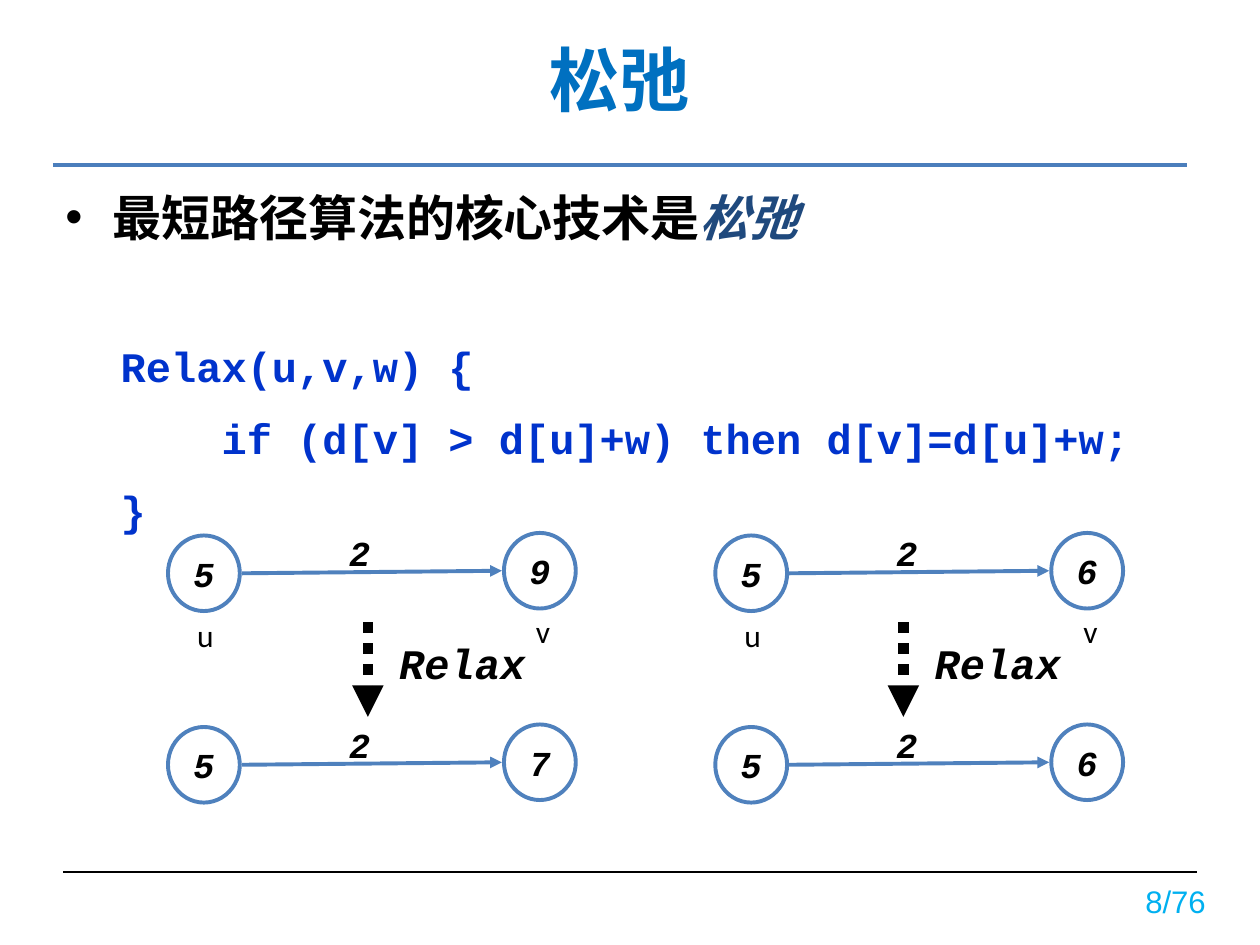
from lxml import etree
from pptx import Presentation
from pptx.dml.color import RGBColor
from pptx.enum.dml import MSO_LINE
from pptx.enum.shapes import MSO_CONNECTOR, MSO_SHAPE
from pptx.enum.text import MSO_ANCHOR, PP_ALIGN
from pptx.oxml.ns import qn
from pptx.util import Pt

STRAIGHT, OVAL = MSO_CONNECTOR.STRAIGHT, MSO_SHAPE.OVAL
DOTTED = MSO_LINE.ROUND_DOT
TOP, MIDDLE = MSO_ANCHOR.TOP, MSO_ANCHOR.MIDDLE
LEFT, CENTER = PP_ALIGN.LEFT, PP_ALIGN.CENTER
BLACK = RGBColor(0, 0, 0)
WHITE = RGBColor(0xFF, 0xFF, 0xFF)
TITLE_BLUE = RGBColor(0x00, 0x70, 0xC0)
NAVY = RGBColor(0x1F, 0x49, 0x7D)
CODE_BLUE = RGBColor(0x00, 0x33, 0xCC)
RULE_BLUE = RGBColor(0x4B, 0x7E, 0xBC)
NODE_BLUE = RGBColor(0x4F, 0x81, 0xBD)
PAGE_BLUE = RGBColor(0x00, 0xB0, 0xF0)
CJK, MONO = "Noto Sans CJK SC", "Courier New"

TITLE = "松弛"
PAGE = "8/76"
POINT = [("最短路径算法的核心技术是", BLACK, False), ("松弛", NAVY, True)]
CODE = [("Relax(u,v,w) {", 0), ("if (d[v] > d[u]+w) then d[v]=d[u]+w;", 4), ("}", 0)]
WEIGHT = "2"
EXAMPLES = [
    {"left": 96, "arrow": 210.24, "rows": [("5", "9"), ("5", "7")]},
    {"left": 408.75, "arrow": 516.24, "rows": [("5", "6"), ("5", "6")]},
]
RULES = [(30.24, 94.32, RULE_BLUE, 2.75), (36, 498.24, BLACK, 0.75)]
RULE_WIDTH = 648
ROW_TOP, ROW_STEP = 304.56, 109.44
NODE_WIDTH, NODE_HEIGHT, NODE_GAP, NODE_DROP = 41.04, 43.2, 192, 1.44
EDGE_GAP = 1.2
CODE_CHAR = 14.4

TITLE_FONT = {"name": CJK, "size": Pt(40), "bold": True}
POINT_FONT = {"name": CJK, "size": Pt(28), "bold": True}
CODE_FONT = {"name": MONO, "size": Pt(24), "bold": True}
NODE_FONT = {"name": MONO, "size": Pt(20), "bold": True, "italic": True}
RELAX_FONT = {**NODE_FONT, "size": Pt(24)}
LABEL_FONT = {"name": "Calibri", "size": Pt(18)}
PAGE_FONT = {"name": "Arial", "size": Pt(17.8)}


def assign(target, values):
    for name, value in values.items():
        setattr(target, name, value)


def add_span(para, text, font, color=BLACK):
    span = para.add_run()
    span.text = text
    assign(span.font, font)
    span.font.color.rgb = color
    if font["name"] == CJK:
        etree.SubElement(span.font._element, qn("a:ea"), typeface=CJK)


def fill_frame(shape, text, font, color=BLACK, align=CENTER, anchor=MIDDLE):
    para = shape.text_frame.paragraphs[0]
    para.alignment = align
    shape.text_frame.vertical_anchor = anchor
    add_span(para, text, font, color)


def add_label(page, left, top, width, height, text, font, **style):
    box = page.shapes.add_textbox(Pt(left), Pt(top), Pt(width), Pt(height))
    box.text_frame.word_wrap = False
    fill_frame(box, text, font, **style)


def add_line(page, start, end, color, width, arrow=False):
    line = page.shapes.add_connector(STRAIGHT, *[Pt(v) for v in (*start, *end)])
    line.line.color.rgb = color
    line.line.width = Pt(width)
    if arrow:
        etree.SubElement(line.line._get_or_add_ln(), qn("a:tailEnd"), type="triangle")
    etree.SubElement(line._element.spPr, qn("a:effectLst"))
    return line


def add_node(page, left, top, value):
    node = page.shapes.add_shape(OVAL, Pt(left), Pt(top), Pt(NODE_WIDTH), Pt(NODE_HEIGHT))
    node.shadow.inherit = False
    node.fill.solid()
    node.fill.fore_color.rgb = WHITE
    node.line.color.rgb = NODE_BLUE
    node.line.width = Pt(2.25)
    assign(node.text_frame, {"margin_left": 0, "margin_right": 0})
    fill_frame(node, value, NODE_FONT)


def add_edge(page, left, top, values):
    add_node(page, left + NODE_GAP, top, values[1])
    add_node(page, left, top + NODE_DROP, values[0])
    middle = top + NODE_HEIGHT / 2
    start = (left + NODE_WIDTH + EDGE_GAP, middle + NODE_DROP)
    end = (left + NODE_GAP - EDGE_GAP, middle)
    add_line(page, start, end, NODE_BLUE, 2.25, True)
    add_label(page, left + 96.24, top - 4.32, 26.64, 30.96, WEIGHT, NODE_FONT, anchor=TOP)


def add_example(page, left, arrow, rows):
    for index, values in enumerate(rows):
        add_edge(page, left, ROW_TOP + index * ROW_STEP, values)
    step = add_line(page, (arrow, 355.68), (arrow, 409.68), BLACK, 6, True)
    step.line.dash_style = DOTTED
    side = {"align": LEFT, "anchor": TOP}
    add_label(page, arrow + 10.8, 360.72, 86.4, 36, "Relax", RELAX_FONT, **side)
    add_label(page, left + 9.6, 348.2, 24.48, 28.8, "u", LABEL_FONT, **side)
    add_label(page, left + 203.2, 346.32, 23.04, 28.8, "v", LABEL_FONT, **side)


def add_body(page):
    box = page.shapes.add_textbox(Pt(30.24), Pt(102.96), Pt(648), Pt(383.04))
    frame = box.text_frame
    frame.word_wrap = True
    para = frame.paragraphs[0]
    for text, color, italic in POINT:
        add_span(para, text, {**POINT_FONT, "italic": italic}, color)
    assign(para, {"line_spacing": Pt(34), "space_after": Pt(42)})
    props = para._p.get_or_add_pPr()
    props.set("marL", str(Pt(27)))
    props.set("indent", str(Pt(-27)))
    etree.SubElement(props, qn("a:buFont"), typeface="Arial")
    etree.SubElement(props, qn("a:buChar"), char="•")
    for text, depth in CODE:
        para = frame.add_paragraph()
        assign(para, {"line_spacing": Pt(34), "space_before": Pt(7)})
        para._p.get_or_add_pPr().set("marL", str(Pt(31.68 + depth * CODE_CHAR)))
        add_span(para, text, CODE_FONT, CODE_BLUE)


def main():
    deck = Presentation()
    assign(deck, {"slide_width": Pt(720), "slide_height": Pt(540)})
    page = deck.slides.add_slide(deck.slide_layouts[5])
    title = page.shapes.title
    assign(title, {"left": Pt(30.24), "top": Pt(3.6), "width": Pt(648), "height": Pt(82.08)})
    fill_frame(title, TITLE, TITLE_FONT, TITLE_BLUE)
    for left, top, color, width in RULES:
        add_line(page, (left, top), (left + RULE_WIDTH, top), color, width)
    add_body(page)
    for example in EXAMPLES:
        add_example(page, **example)
    add_label(page, 637.92, 490, 67.68, 50, PAGE, PAGE_FONT, color=PAGE_BLUE)
    deck.save("out.pptx")


if __name__ == "__main__":
    main()
